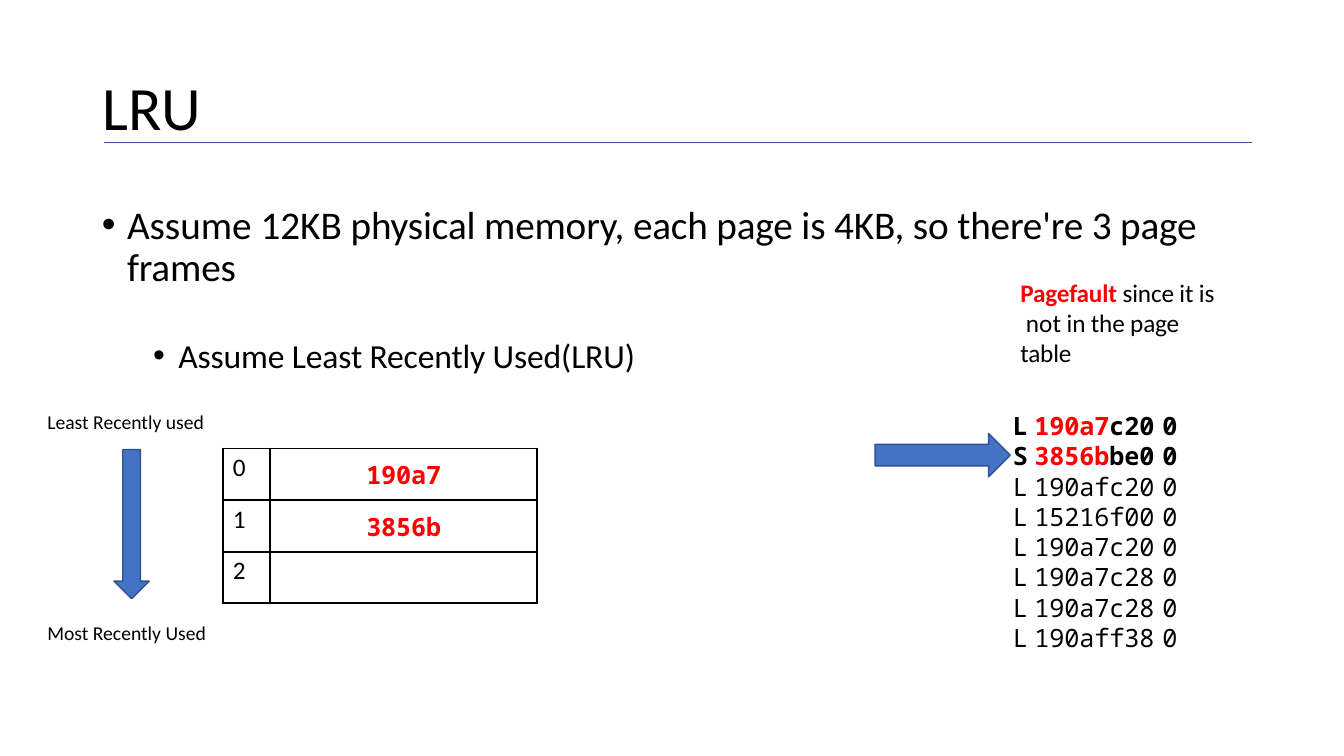
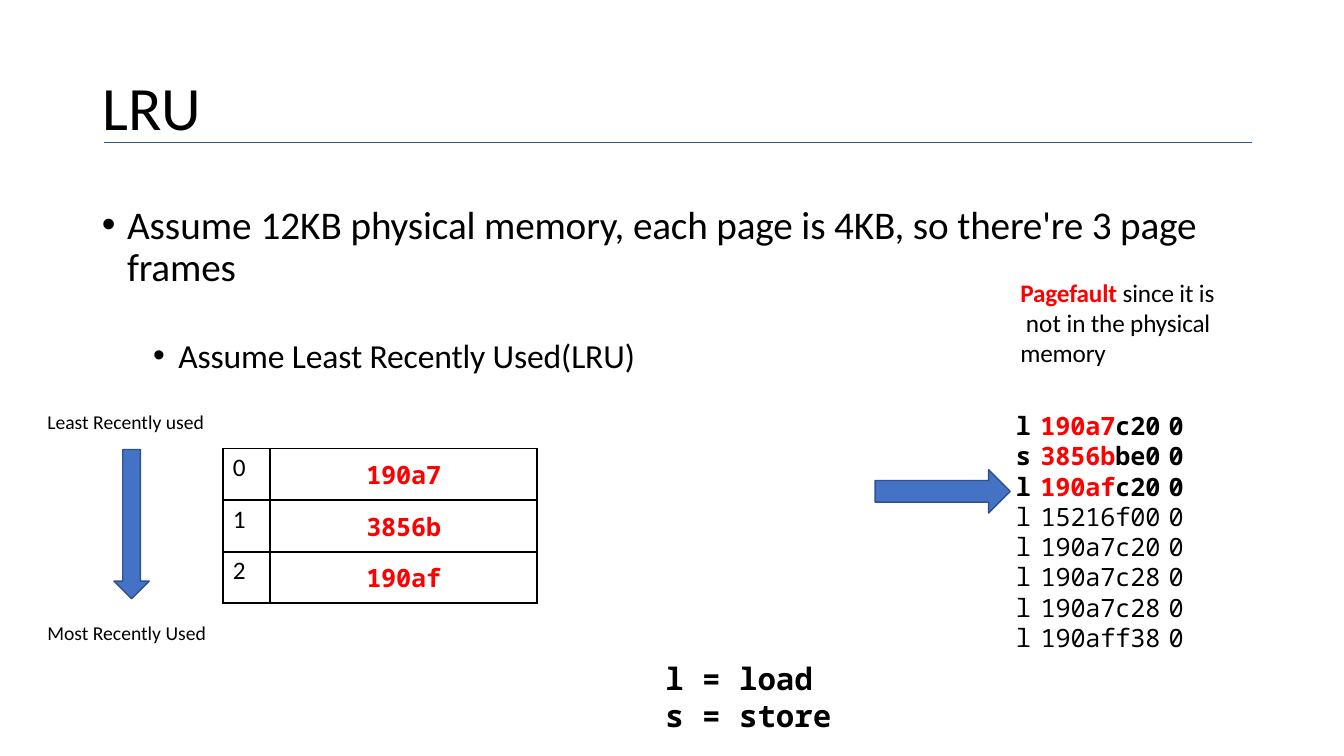
"""Build two slides that step through LRU page replacement."""
from dataclasses import dataclass
from typing import Optional, Sequence

from lxml import etree
from pptx import Presentation
from pptx.dml.color import RGBColor
from pptx.enum.shapes import MSO_CONNECTOR, MSO_SHAPE
from pptx.enum.text import MSO_ANCHOR, MSO_AUTO_SIZE, PP_ALIGN
from pptx.oxml.ns import qn
from pptx.util import Inches, Pt

LEFT, CENTER = PP_ALIGN.LEFT, PP_ALIGN.CENTER
TOP = MSO_ANCHOR.TOP
FIXED_SIZE = MSO_AUTO_SIZE.NONE
STRAIGHT = MSO_CONNECTOR.STRAIGHT
RIGHT_ARROW, DOWN_ARROW = MSO_SHAPE.RIGHT_ARROW, MSO_SHAPE.DOWN_ARROW

SANS, MONO = "Calibri", "Noto Sans Mono"
BLACK, RED = "000000", "FF0000"
RULE_BLUE, ARROW_BLUE, ARROW_EDGE = "2F5597", "4472C4", "2F528F"

GRID_PER_INCH = 10
TITLE_ONLY = 5
PAGE_DIGITS = 5
FRAME_COUNT = 3
ADDRESSES = ("190a7c20", "3856bbe0", "190afc20", "15216f00",
             "190a7c20", "190a7c28", "190a7c28", "190aff38")


@dataclass(frozen=True)
class Box:
    left: float
    top: float
    width: float
    height: float


@dataclass(frozen=True)
class Run:
    text: str
    size: float = 18
    font: str = SANS
    color: str = BLACK
    bold: bool = False
    tracking: int = 0
    break_before: bool = False


@dataclass(frozen=True)
class Style:
    align: PP_ALIGN = LEFT
    before: float = 1
    line_spacing: Optional[float] = None
    margin: float = 0.1
    hanging: float = 0
    bullet: str = ""


@dataclass(frozen=True)
class Step:
    operations: str
    visited: int
    pointer_top: float
    operation_width: float
    fault_reason: str
    legend: Sequence[str] = ()


STEPS = (
    Step("LSLLLLLL", 2, 43, 2.4, "in the page table"),
    Step("lsllllll", 3, 46.6, 3, "in the physical memory", ("l = load", "s = store")),
)


def grid(cells: float) -> int:
    """Convert grid cells to a slide length."""
    return Inches(cells / GRID_PER_INCH)


def place(box: Box) -> tuple:
    """Return left, top, width and height as slide lengths."""
    return grid(box.left), grid(box.top), grid(box.width), grid(box.height)


def rgb(color: str) -> RGBColor:
    """Turn a hex string into a colour."""
    return RGBColor.from_string(color)


def write(paragraph, runs: Sequence[Run], style: Style = Style()) -> None:
    """Format a paragraph and add its runs."""
    paragraph.alignment = style.align
    paragraph.space_before = Pt(style.before)
    if style.line_spacing:
        paragraph.line_spacing = Pt(style.line_spacing)
    properties = paragraph._p.get_or_add_pPr()
    properties.set("marL", str(grid(style.margin)))
    properties.set("indent", str(-grid(style.hanging)))
    if style.bullet:
        etree.SubElement(properties, qn("a:buFont"), typeface="Arial")
        etree.SubElement(properties, qn("a:buChar"), char=style.bullet)
    for item in runs:
        if item.break_before:
            paragraph.add_line_break()
        run = paragraph.add_run()
        run.text = item.text
        run.font.size = Pt(item.size)
        run.font.name = item.font
        run.font.bold = item.bold
        run.font.color.rgb = rgb(item.color)
        run._r.get_or_add_rPr().set("spc", str(item.tracking))


def prepare_frame(frame, top_inset: float = 0.1):
    """Give a text frame fixed size, wrapping and tight insets."""
    frame.word_wrap = True
    frame.auto_size = FIXED_SIZE
    frame.vertical_anchor = TOP
    frame.margin_left = frame.margin_right = frame.margin_bottom = 0
    frame.margin_top = grid(top_inset)
    return frame


def add_text(slide, box: Box, runs: Sequence[Run], style: Style = Style(),
             top_inset: float = 0.1) -> None:
    """Add a text box with one paragraph."""
    frame = prepare_frame(slide.shapes.add_textbox(*place(box)).text_frame, top_inset)
    write(frame.paragraphs[0], runs, style)


def add_title(slide, text: str) -> None:
    """Place the title and the rule below it."""
    title = slide.shapes.title
    title.left, title.top, title.width, title.height = place(Box(10.1, 6.7, 90.3, 7.6))
    frame = prepare_frame(title.text_frame)
    write(frame.paragraphs[0], [Run(text, 44, tracking=-20)])
    rule = slide.shapes.add_connector(
        STRAIGHT, grid(10.3), grid(14.15), grid(124.2), grid(14.15))
    rule.line.color.rgb = rgb(RULE_BLUE)
    rule.line.width = Pt(0.5)
    etree.SubElement(rule._element.spPr, qn("a:effectLst"))


def add_arrow(slide, kind: MSO_SHAPE, box: Box) -> None:
    """Add a blue block arrow."""
    arrow = slide.shapes.add_shape(kind, *place(box))
    arrow.shadow.inherit = False
    arrow.fill.solid()
    arrow.fill.fore_color.rgb = rgb(ARROW_BLUE)
    arrow.line.color.rgb = rgb(ARROW_EDGE)
    arrow.line.width = Pt(1)


def add_plain_table(slide, left: float, top: float,
                    widths: Sequence[float], heights: Sequence[float]):
    """Add a table without banding, sized by its columns and rows."""
    box = Box(left, top, sum(widths), sum(heights))
    table = slide.shapes.add_table(len(heights), len(widths), *place(box)).table
    table.first_row = table.horz_banding = False
    for column, width in zip(table.columns, widths):
        column.width = grid(width)
    for row, height in zip(table.rows, heights):
        row.height = grid(height)
    return table


def fill_cell(cell, runs: Sequence[Run], style: Style, top_inset: float = 0,
              bordered: bool = False) -> None:
    """Write a cell and set its insets, borders and empty fill."""
    cell.margin_left = cell.margin_right = cell.margin_bottom = 0
    cell.margin_top = grid(top_inset)
    properties = cell._tc.get_or_add_tcPr()
    for side in ("lnL", "lnR", "lnT", "lnB"):
        width = Pt(1.5) if bordered else 0
        line = etree.SubElement(properties, qn(f"a:{side}"), w=str(width))
        if bordered:
            fill = etree.SubElement(line, qn("a:solidFill"))
            etree.SubElement(fill, qn("a:srgbClr"), val=BLACK)
        else:
            etree.SubElement(line, qn("a:noFill"))
    cell.fill.background()
    write(cell.text_frame.paragraphs[0], runs, style)


def add_trace(slide, step: Step) -> None:
    """List the memory accesses, with the visited ones in bold."""
    heights = [2.8] + [3] * (len(ADDRESSES) - 2) + [2.7]
    table = add_plain_table(slide, 100, 41.55, [step.operation_width, 12.3, 2.4], heights)
    for row, (operation, address) in enumerate(zip(step.operations, ADDRESSES)):
        visited = row < step.visited
        page, offset = address[:PAGE_DIGITS], address[PAGE_DIGITS:]
        columns = (
            [Run(operation, font=MONO, bold=visited)],
            [Run(page, font=MONO, color=RED if visited else BLACK,
                 bold=visited, tracking=-10),
             Run(offset, font=MONO, bold=visited, tracking=-10)],
            [Run("0", font=MONO, bold=visited)],
        )
        for column, runs in enumerate(columns):
            style = Style(CENTER, 0, 18.8 if row else 16.9, 0.3 if column == 2 else 0)
            fill_cell(table.cell(row, column), runs, style)


def add_page_frames(slide, visited: int) -> None:
    """Show which page each physical frame holds."""
    table = add_plain_table(slide, 22.1, 44.5, [4.7, 26.5], [5.12] * FRAME_COUNT)
    for row in range(FRAME_COUNT):
        fill_cell(table.cell(row, 0), [Run(str(row))], Style(before=2.5, margin=1),
                  0.4, True)
        page = ADDRESSES[row][:PAGE_DIGITS]
        runs = [Run(page, font=MONO, color=RED, bold=True, tracking=-10)]
        fill_cell(table.cell(row, 1), runs if row < visited else [],
                  Style(CENTER, 6.6, margin=0), 0.9, True)


def add_legend(slide, lines: Sequence[str]) -> None:
    """Explain the operation letters."""
    frame = slide.shapes.add_textbox(*place(Box(65, 65, 29.8, 8.4))).text_frame
    frame.word_wrap = True
    for index, text in enumerate(lines):
        paragraph = frame.add_paragraph() if index else frame.paragraphs[0]
        write(paragraph, [Run(text, 22, MONO, bold=True)], Style(before=0, margin=0))


def add_step(presentation, step: Step) -> None:
    """Build the slide for one step of the trace."""
    slide = presentation.slides.add_slide(presentation.slide_layouts[TITLE_ONLY])
    add_title(slide, "LRU")
    add_text(slide, Box(10, 19.7, 109.9, 9.1),
             [Run("Assume 12KB ", 28),
              Run("physical memory, each page is 4KB, so there're 3 page frames",
                  28, tracking=-10)],
             Style(before=5, line_spacing=30, margin=2.6, hanging=2.5, bullet="•"), 0.7)
    add_text(slide, Box(4.6, 33.1, 58.9, 5),
             [Run("Assume Least Recently Used(LRU)", 24, tracking=-10)],
             Style(margin=13.1, hanging=2.5, bullet="•"))
    for top, text in ((40.6, "Least Recently used"), (61.5, "Most Recently Used")):
        add_text(slide, Box(4.6, top, 18, 2.6), [Run(text, 14)])
    add_arrow(slide, DOWN_ARROW, Box(11.3, 44.6, 3.5, 14.8))
    add_trace(slide, step)
    add_page_frames(slide, step.visited)
    add_arrow(slide, RIGHT_ARROW, Box(86.8, step.pointer_top, 13.4, 4.3))
    add_text(slide, Box(101.1, 27.3, 19.8, 9.2),
             [Run("Pagefault ", color=RED, bold=True, tracking=-10),
              Run("since it is", tracking=-10),
              Run(" not ", break_before=True),
              Run(step.fault_reason, tracking=-10)], top_inset=0.2)
    if step.legend:
        add_legend(slide, step.legend)


def main() -> None:
    """Create and save the presentation."""
    presentation = Presentation()
    presentation.slide_width = Inches(13.33)
    presentation.slide_height = Inches(7.5)
    for step in STEPS:
        add_step(presentation, step)
    presentation.save("out.pptx")


if __name__ == "__main__":
    main()
